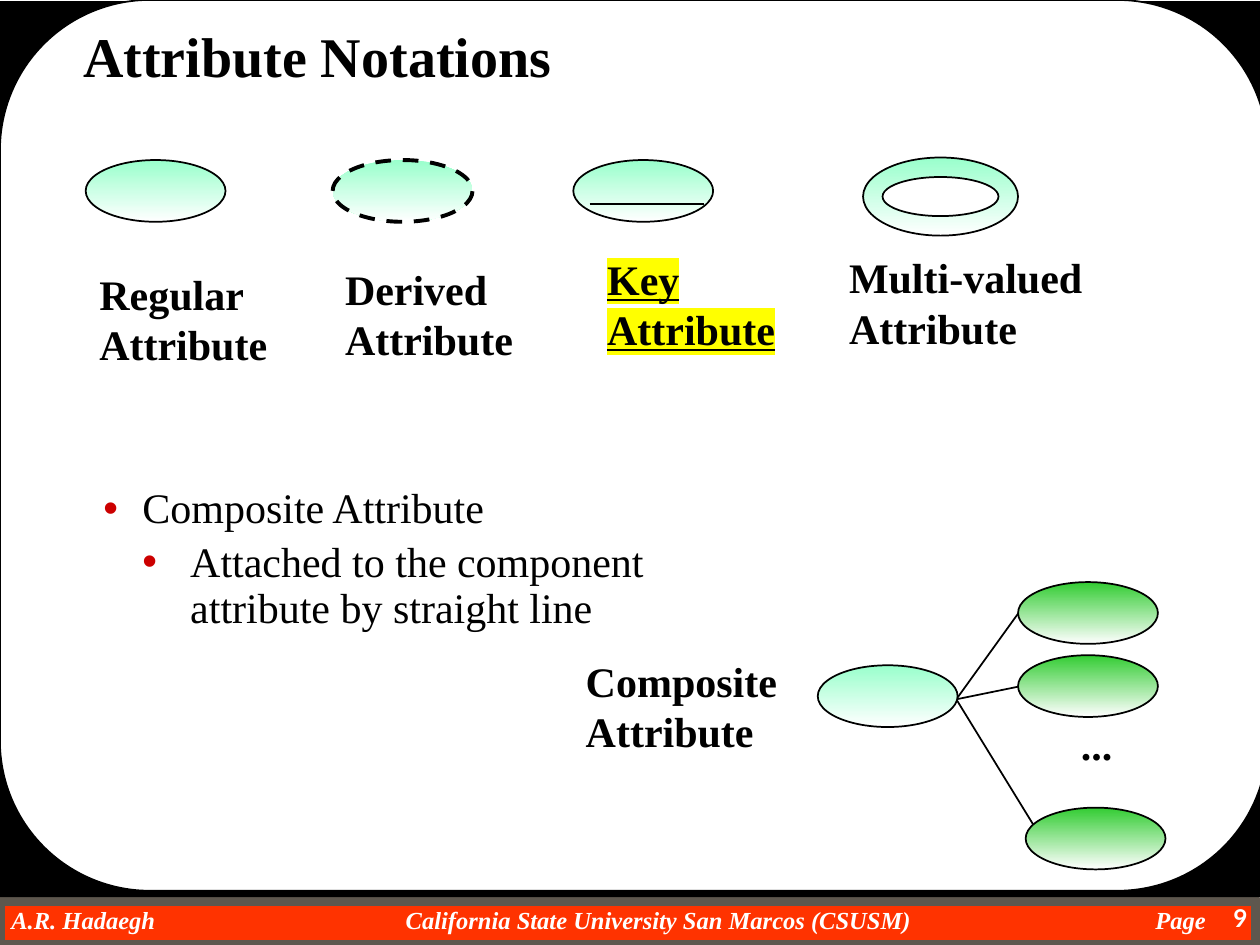
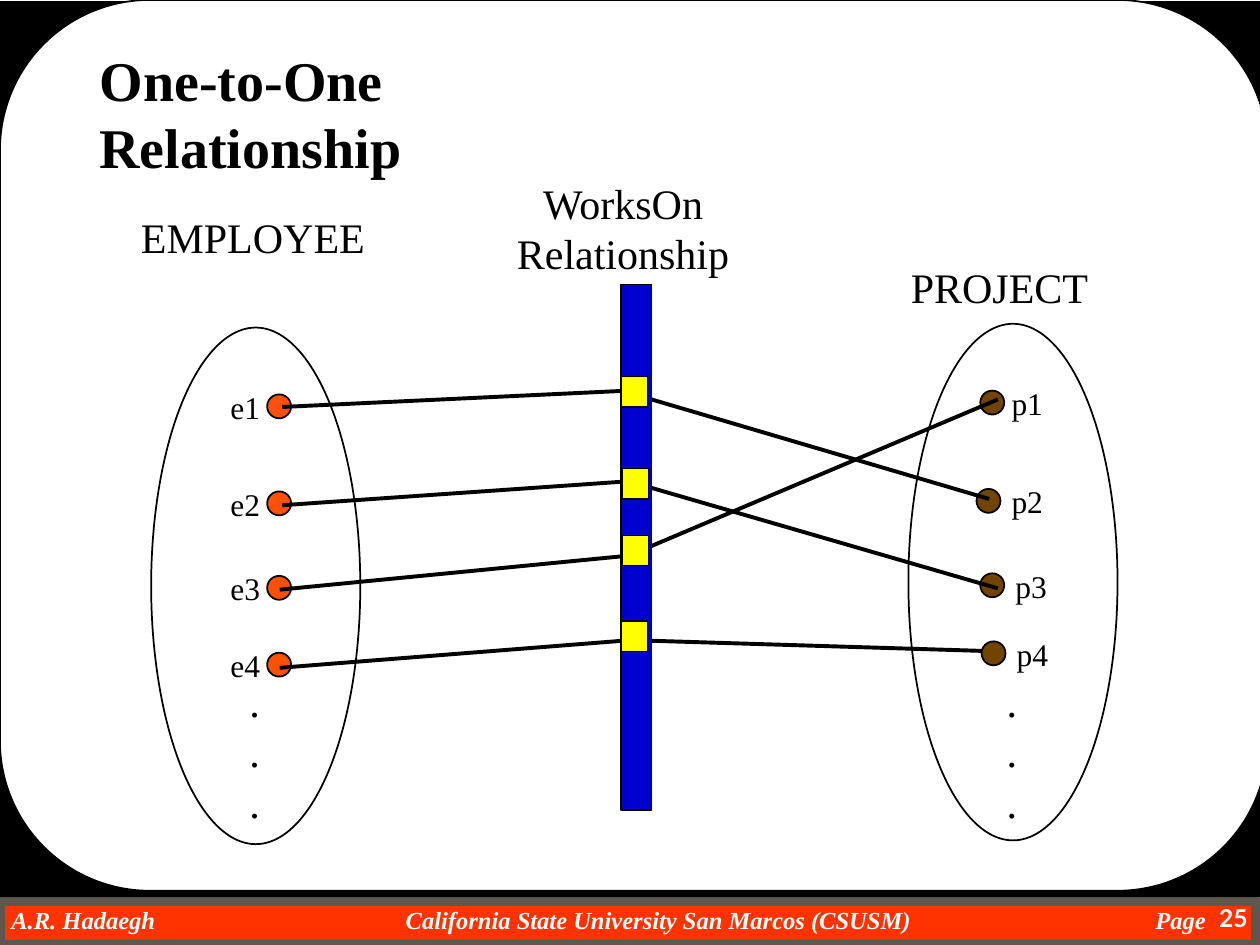
from dataclasses import dataclass
from lxml.etree import SubElement
from pptx import Presentation
from pptx.dml.color import RGBColor
from pptx.enum.dml import MSO_LINE
from pptx.enum.shapes import MSO_CONNECTOR, MSO_SHAPE
from pptx.enum.text import MSO_ANCHOR, MSO_AUTO_SIZE, PP_ALIGN
from pptx.oxml import parse_xml
from pptx.oxml.ns import qn
from pptx.util import Inches, Pt


@dataclass(frozen=True)
class Theme:
    black: str = "000000"
    white: str = "FFFFFF"
    band: str = "FF3300"
    edge: str = "5E574E"
    mint: str = "99FFCC"
    green: str = "33CC33"
    mark: str = "FFFF00"
    bullet: str = "CC0000"
    staff: str = "FF5008"
    job: str = "714400"
    bar: str = "0000CC"
    serif: str = "Times New Roman"
    sans: str = "Lato"
    title: int = 32
    body: int = 24
    label: int = 18
    foot: int = 14


T = Theme()
WIDE, HIGH = 10, 7.5
NS = 'xmlns:a="http://schemas.openxmlformats.org/drawingml/2006/main"'

FOOTER = "A.R. Hadaegh\tCalifornia State University San Marcos (CSUSM)\tPage"
TABS = (3.13, 9.08)

OVAL = (1.11, 0.49)
NOTES = [
    ("Regular\nAttribute", (0.69, 2.08, 1.53, 0.9), {}),
    ("Derived\nAttribute", (2.64, 2.04, 1.53, 0.9), {}),
    ("Key\nAttribute", (4.72, 1.96, 1.55, 0.91), {"under": True, "mark": T.mark}),
    ("Multi-valued\nAttribute", (6.64, 1.95, 2.07, 0.91), {}),
]
POINTS = [
    ("Composite Attribute", 0.62, 0.31),
    ("Attached to the component attribute by straight line", 1, 0.38),
]
ROOT = (7.59, 5.55)
PARTS = [((8.08, 4.62), (8.08, 4.87)), ((8.08, 5.2), (8.08, 5.45)),
         ((8.14, 6.41), (8.21, 6.56))]

HEADS = [
    ("EMPLOYEE", (1.02, 1.63, 1.98, 0.5)),
    ("PROJECT", (7.13, 2.03, 1.61, 0.5)),
]
SETS = [(1.2, 2.6), (7.21, 2.57)]
STAFF = [("e1", 2.12, 3.13, 1.73), ("e2", 2.12, 3.9, 1.73),
         ("e3", 2.12, 4.57, 1.73), ("e4", 2.12, 5.18, 1.73)]
JOBS = [("p1", 7.78, 3.1, 7.93), ("p2", 7.75, 3.88, 7.93),
        ("p3", 7.78, 4.55, 7.96), ("p4", 7.79, 5.09, 7.97)]
LINKS = [
    ((2.24, 3.23), (4.99, 3.1)), ((5, 3.12), (7.85, 3.96)),
    ((2.24, 4.01), (4.99, 3.82)), ((7.92, 4.67), (4.99, 3.82)),
    ((2.22, 4.68), (4.99, 4.41)), ((7.92, 3.17), (4.99, 4.41)),
    ((2.22, 5.3), (5.01, 5.08)), ((7.92, 5.17), (4.99, 5.08)),
]
TIES = [(4.93, 2.99), (4.94, 3.72), (4.94, 4.25), (4.93, 4.93)]


def rgb(code):
    return RGBColor.from_string(code)


def place(shape, box):
    shape.left, shape.top, shape.width, shape.height = map(Inches, box)


def write(shape, text, size=T.body, font=T.serif, color=T.black, bold=False,
          slant=False, under=False, mark=None, align=PP_ALIGN.LEFT,
          wrap=True, grow=False, inset=None, space=None):
    frame = shape.text_frame
    frame.word_wrap = wrap
    frame.auto_size = MSO_AUTO_SIZE.SHAPE_TO_FIT_TEXT if grow else MSO_AUTO_SIZE.NONE
    frame.vertical_anchor = MSO_ANCHOR.TOP
    if inset is not None:
        frame.margin_left = frame.margin_right = Inches(inset)
        frame.margin_top = frame.margin_bottom = Inches(inset)
    for i, line in enumerate(text.split("\n")):
        para = frame.add_paragraph() if i else frame.paragraphs[0]
        para.alignment = align
        if space:
            para.line_spacing = space
        run = para.add_run()
        run.text = line
        face = run.font
        face.size, face.name, face.bold = Pt(size), font, bold
        face.italic, face.underline = slant, under
        face.color.rgb = rgb(color)
        if mark:
            run._r.get_or_add_rPr().insert(1, parse_xml(
                f'<a:highlight {NS}><a:srgbClr val="{mark}"/></a:highlight>'))
    return frame


def label(shapes, text, box, **form):
    return write(shapes.add_textbox(*map(Inches, box)), text, **form)


def tag(shapes, text, box, **form):
    return label(shapes, text, box, wrap=False, grow=True, **form)


def draw(shapes, kind, box, fill, fade=None, line=T.black, weight=1, dash=None):
    shape = shapes.add_shape(kind, *map(Inches, box))
    shape.shadow.inherit = False
    if fade:
        shape.fill.gradient()
        shape.fill.gradient_angle = 270
        for stop, code in zip(shape.fill.gradient_stops, (fill, fade)):
            stop.color.rgb = rgb(code)
    else:
        shape.fill.solid()
        shape.fill.fore_color.rgb = rgb(fill)
    if line:
        shape.line.color.rgb = rgb(line)
        shape.line.width = Pt(weight)
        if dash:
            shape.line.dash_style = dash
    else:
        shape.line.fill.background()
    return shape


def oval(shapes, spot, fill=T.mint, **form):
    return draw(shapes, MSO_SHAPE.OVAL, (*spot, *OVAL), fill, T.white, **form)


def join(shapes, start, end, weight=1):
    line = shapes.add_connector(MSO_CONNECTOR.STRAIGHT, *map(Inches, (*start, *end)))
    line.line.color.rgb = rgb(T.black)
    line.line.width = Pt(weight)
    SubElement(line.element.spPr, qn("a:effectLst"))


def brand(deck, slide):
    shapes = slide.shapes
    band = draw(shapes, MSO_SHAPE.RECTANGLE, (0, 7.15, 9.97, 0.35), T.band,
                line=T.edge, weight=6)
    foot = shapes.add_textbox(*map(Inches, (0.09, 7.18, 9.59, 0.23)))
    frame = write(foot, FOOTER, size=T.foot, color=T.white, bold=True, slant=True, inset=0)
    stops = SubElement(frame.paragraphs[0]._p.get_or_add_pPr(), qn("a:tabLst"))
    for stop in TABS:
        SubElement(stops, qn("a:tab"), pos=str(Inches(stop)), algn="l")
    back = draw(shapes, MSO_SHAPE.RECTANGLE, (0, 0.01, WIDE, 7.11), T.black, line=None)
    page = draw(shapes, MSO_SHAPE.ROUNDED_RECTANGLE, (0, 0, 10.06, 7.07), T.white)
    page.adjustments[0] = 1.19 / 7.07
    tree = deck.slide_master.shapes.element
    for i, shape in enumerate((band, foot, back, page)):
        shape.element.nvSpPr.cNvPr.set("id", str(100 + i))
        tree.append(shape.element)


def start(deck, layout, title, box, page, space=None):
    slide = deck.slides.add_slide(deck.slide_layouts[layout])
    place(slide.shapes.title, box)
    write(slide.shapes.title, title, size=T.title, bold=True, space=space)
    label(slide.shapes, page, (9.25, 7.12, 0.75, 0.38), size=T.foot, font=T.sans,
          color=T.white, bold=True, align=PP_ALIGN.RIGHT)
    return slide


def outline(shape):
    place(shape, (0.41, 3.82, 5, 1.27))
    frame = write(shape, "\n".join(p[0] for p in POINTS), space=0.9)
    for i, (para, (_, left, hang)) in enumerate(zip(frame.paragraphs, POINTS)):
        para.level = i
        para.space_before = Pt(4.8 * i)
        props = para._p.get_or_add_pPr()
        props.set("marL", str(Inches(left)))
        props.set("indent", str(-Inches(hang)))
        SubElement(SubElement(props, qn("a:buClr")), qn("a:srgbClr"), val=T.bullet)
        SubElement(props, qn("a:buChar"), char="•")


def notation(deck):
    slide = start(deck, 1, "Attribute Notations", (0.56, 0.22, 9.07, 0.67), "9", 0.8)
    brand(deck, slide)
    shapes = slide.shapes
    outline(slide.placeholders[1])
    oval(shapes, (0.68, 1.27))
    oval(shapes, (2.64, 1.27), weight=2.25, dash=MSO_LINE.DASH)
    key = shapes.add_group_shape().shapes
    oval(key, (4.55, 1.27))
    join(key, (4.68, 1.62), (5.59, 1.62))
    draw(shapes, MSO_SHAPE.DONUT, (6.85, 1.25, 1.23, 0.62), T.mint, T.white)
    for text, box, form in NOTES:
        tag(shapes, text, box, bold=True, **form)
    tree = shapes.add_group_shape().shapes
    for _, end in PARTS:
        join(tree, ROOT, end)
    oval(tree, (6.49, 5.28))
    for spot, _ in reversed(PARTS):
        oval(tree, spot, T.green)
    tag(tree, "...", (8.48, 5.65, 0.45, 0.5), bold=True)
    tag(tree, "Composite\nAttribute", (4.55, 5.15, 1.72, 0.9), bold=True)


def nodes(shapes, items, fill, wide):
    for name, x, y, left in items:
        draw(shapes, MSO_SHAPE.OVAL, (x, y, 0.19, 0.19), fill)
        tag(shapes, name, (left, y - 0.1, wide, 0.4), size=T.label)


def relation(deck):
    slide = start(deck, 5, "One-to-One Relationship", (0.69, 0.31, 3, 1.17), "25")
    shapes = slide.shapes
    label(shapes, "WorksOn\nRelationship", (3.6, 1.36, 2.69, 0.9), align=PP_ALIGN.CENTER)
    for text, box in HEADS:
        tag(shapes, text, box)
    for x, y in SETS:
        draw(shapes, MSO_SHAPE.OVAL, (x, y, 1.66, 4.1), T.white)
        tag(shapes, ".\n.\n.", (x + 0.68, 5.31, 0.28, 1.3))
    nodes(shapes, STAFF, T.staff, 0.44)
    nodes(shapes, JOBS[:3], T.job, 0.46)
    for ends in LINKS:
        join(shapes, *ends, weight=2.25)
    nodes(shapes, JOBS[3:], T.job, 0.46)
    draw(shapes, MSO_SHAPE.RECTANGLE, (4.93, 2.26, 0.24, 4.17), T.bar, weight=0.75)
    for spot in TIES:
        draw(shapes, MSO_SHAPE.RECTANGLE, (*spot, 0.21, 0.24), T.mark, weight=0.75)


def main():
    deck = Presentation()
    deck.slide_width, deck.slide_height = Inches(WIDE), Inches(HIGH)
    notation(deck)
    relation(deck)
    deck.save("out.pptx")


if __name__ == "__main__":
    main()
